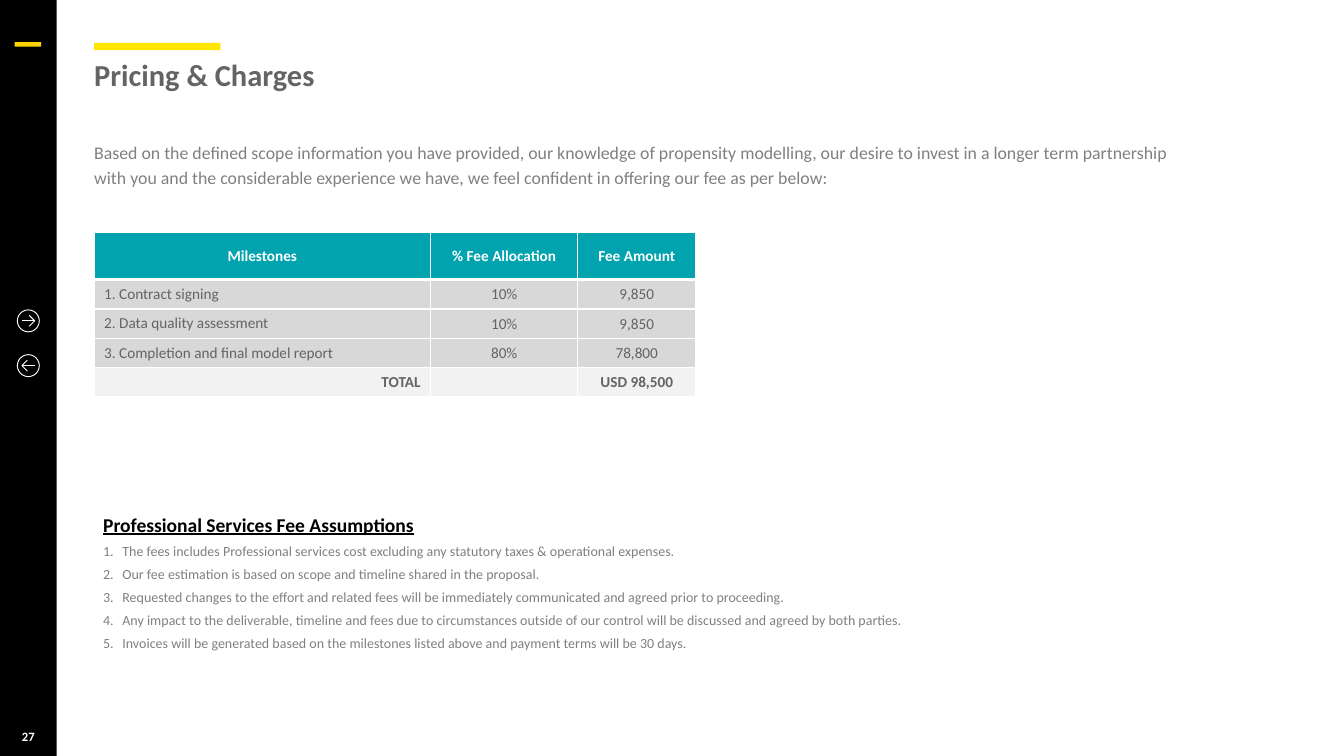
from lxml import etree
from pptx import Presentation
from pptx.dml.color import RGBColor
from pptx.enum.shapes import MSO_CONNECTOR as Connector, MSO_SHAPE as Shape
from pptx.enum.text import MSO_ANCHOR as Anchor, PP_ALIGN as Align
from pptx.oxml.ns import qn
from pptx.util import Inches, Pt

FONT = "Calibri"
COLORS = {
    "black": "000000", "white": "FFFFFF", "yellow": "FFE600", "gold": "FFD400",
    "teal": "00A3AE", "dark": "646464", "text": "808080",
    "row": "D8D8D8", "total": "F2F2F2",
}
INTRO = (
    "Based on the defined scope information you have provided, our knowledge of propensity "
    "modelling, our desire to invest in a longer term partnership with you and the considerable "
    "experience we have, we feel confident in offering our fee as per below:"
)
FEES = [
    ("Milestones", "% Fee Allocation", "Fee Amount"),
    ("1. Contract signing", "10%", "9,850"),
    ("2. Data quality assessment", "10%", "9,850"),
    ("3. Completion and final model report", "80%", "78,800"),
    ("TOTAL", "", "USD 98,500"),
]
ASSUMPTIONS = [
    "The fees includes Professional services cost excluding any statutory taxes & operational expenses.",
    "Our fee estimation is based on scope and timeline shared in the proposal.",
    "Requested changes to the effort and related fees will be immediately communicated and agreed "
    "prior to proceeding.",
    "Any impact to the deliverable, timeline and fees due to circumstances outside of our control "
    "will be discussed and agreed by both parties.",
    "Invoices will be generated based on the milestones listed above and payment terms will be 30 days.",
]


def color(name):
    return RGBColor.from_string(COLORS[name])


def add_block(slide, left, top, width, height, fill):
    shape = slide.shapes.add_shape(
        Shape.RECTANGLE, Inches(left), Inches(top), Inches(width), Inches(height))
    shape.shadow.inherit = False
    shape.fill.solid()
    shape.fill.fore_color.rgb = color(fill)
    shape.line.fill.background()


def add_text_frame(slide, left, top, width, height, inset=0.0):
    box = slide.shapes.add_textbox(Inches(left), Inches(top), Inches(width), Inches(height))
    frame = box.text_frame
    frame.word_wrap = True
    frame.margin_left = frame.margin_right = Inches(inset)
    frame.margin_top = frame.margin_bottom = Inches(inset / 2)
    return frame


def add_run(paragraph, text, size, ink, bold=False, underline=False):
    run = paragraph.add_run()
    run.text = text
    run.font.name = FONT
    run.font.size = Pt(size)
    run.font.bold = bold
    run.font.underline = underline
    run.font.color.rgb = color(ink)


def outline_white(shape):
    shape.line.color.rgb = color("white")
    shape.line.width = Pt(0.75)


def add_arrow_button(slide, left, top, size, direction):
    circle = slide.shapes.add_shape(
        Shape.OVAL, Inches(left), Inches(top), Inches(size), Inches(size))
    circle.shadow.inherit = False
    circle.fill.background()
    outline_white(circle)

    center_x, center_y = left + size / 2, top + size / 2
    tip = center_x + direction * 0.07
    tail = center_x - direction * 0.07
    shaft = slide.shapes.add_connector(
        Connector.STRAIGHT, Inches(tail), Inches(center_y), Inches(tip), Inches(center_y))
    etree.SubElement(shaft.element.spPr, qn("a:effectLst"))
    outline_white(shaft)

    back = tip - direction * 0.06
    builder = slide.shapes.build_freeform(Inches(back), Inches(center_y - 0.06))
    builder.add_line_segments(
        [(Inches(tip), Inches(center_y)), (Inches(back), Inches(center_y + 0.06))], close=False)
    head = builder.convert_to_shape()
    head.shadow.inherit = False
    head.fill.background()
    outline_white(head)


def add_sidebar(slide, left, top, width, height):
    add_block(slide, left, top, width, height, "black")
    add_block(slide, left + 0.16, top + 0.46, 0.29, 0.05, "gold")
    for offset, direction in ((3.39, 1), (3.88, -1)):
        add_arrow_button(slide, left + 0.19, top + offset, 0.24, direction)
    paragraph = add_text_frame(slide, left, top + height - 0.3, width, 0.17).paragraphs[0]
    paragraph.alignment = Align.CENTER
    add_run(paragraph, "27", 10, "white", bold=True)


def add_heading(slide, left, top, width):
    add_block(slide, left, top, 1.38, 0.08, "yellow")
    title = add_text_frame(slide, left, top + 0.2, width, 0.81).paragraphs[0]
    title.line_spacing = 0.85
    add_run(title, "Pricing & Charges", 24, "dark", bold=True)
    intro = add_text_frame(slide, left, top + 1.05, 12.02, 0.64).paragraphs[0]
    intro.line_spacing = 1.14
    intro.space_after = Pt(6)
    add_run(intro, INTRO, 14, "text")


def set_borders(cell, top, bottom):
    properties = cell._tc.get_or_add_tcPr()
    widths = {"a:lnL": 1, "a:lnR": 1, "a:lnT": top, "a:lnB": bottom}
    for index, (tag, points) in enumerate(widths.items()):
        line = etree.Element(qn(tag), w=str(Pt(points)))
        fill = etree.SubElement(line, qn("a:solidFill"))
        etree.SubElement(fill, qn("a:srgbClr"), val=COLORS["white"])
        properties.insert(index, line)


def add_fee_table(slide, left, top, widths, heights):
    frame = slide.shapes.add_table(
        len(heights), len(widths), Inches(left), Inches(top),
        Inches(sum(widths)), Inches(sum(heights)))
    table = frame.table
    for column, width in zip(table.columns, widths):
        column.width = Inches(width)
    last = len(FEES) - 1
    for row_index, values in enumerate(FEES):
        table.rows[row_index].height = Inches(heights[row_index])
        is_header, is_total = row_index == 0, row_index == last
        fill = "teal" if is_header else "total" if is_total else "row"
        for column_index, value in enumerate(values):
            cell = table.cell(row_index, column_index)
            cell.fill.solid()
            cell.fill.fore_color.rgb = color(fill)
            set_borders(cell, 3 if row_index == 1 else 1, 3 if is_header else 1)
            cell.vertical_anchor = Anchor.MIDDLE
            is_label = column_index == 0
            is_wide = is_header or is_label
            cell.margin_left = cell.margin_right = Inches(0.11 if is_wide else 0.01)
            cell.margin_top = Inches(0.06 if is_wide else 0.01)
            cell.margin_bottom = Inches(0.06 if is_wide else 0)
            paragraph = cell.text_frame.paragraphs[0]
            paragraph.alignment = Align.CENTER
            if is_label and not is_header:
                paragraph.alignment = Align.RIGHT if is_total else Align.LEFT
            if value:
                add_run(paragraph, value, 12, "white" if is_header else "dark",
                        bold=is_header or is_total)
            else:
                etree.SubElement(paragraph._p, qn("a:endParaRPr"), sz="1200")


def add_assumptions(slide, left, top, width, height):
    frame = add_text_frame(slide, left, top, width, height, inset=0.1)
    add_run(frame.paragraphs[0], "Professional Services Fee Assumptions", 15.4, "black",
            bold=True, underline=True)
    for assumption in ASSUMPTIONS:
        paragraph = frame.add_paragraph()
        paragraph.space_before = Pt(5)
        properties = paragraph._p.get_or_add_pPr()
        properties.set("marL", str(Inches(0.21)))
        properties.set("indent", str(Inches(-0.21)))
        etree.SubElement(properties, qn("a:buFont"), typeface=FONT)
        etree.SubElement(properties, qn("a:buAutoNum"), type="arabicPeriod")
        add_run(paragraph, assumption, 11, "text")


def main():
    presentation = Presentation()
    presentation.slide_width = Inches(14.7)
    presentation.slide_height = Inches(8.27)
    slide = presentation.slides.add_slide(presentation.slide_layouts[6])
    add_sidebar(slide, 0, 0, 0.62, 8.27)
    add_heading(slide, 1.03, 0.47, 12.8)
    add_fee_table(slide, 1.03, 2.54, [3.68, 1.61, 1.29], [0.52] + [0.31] * 4)
    add_assumptions(slide, 1.03, 5.56, 11.82, 1.89)
    presentation.save("out.pptx")


if __name__ == "__main__":
    main()
